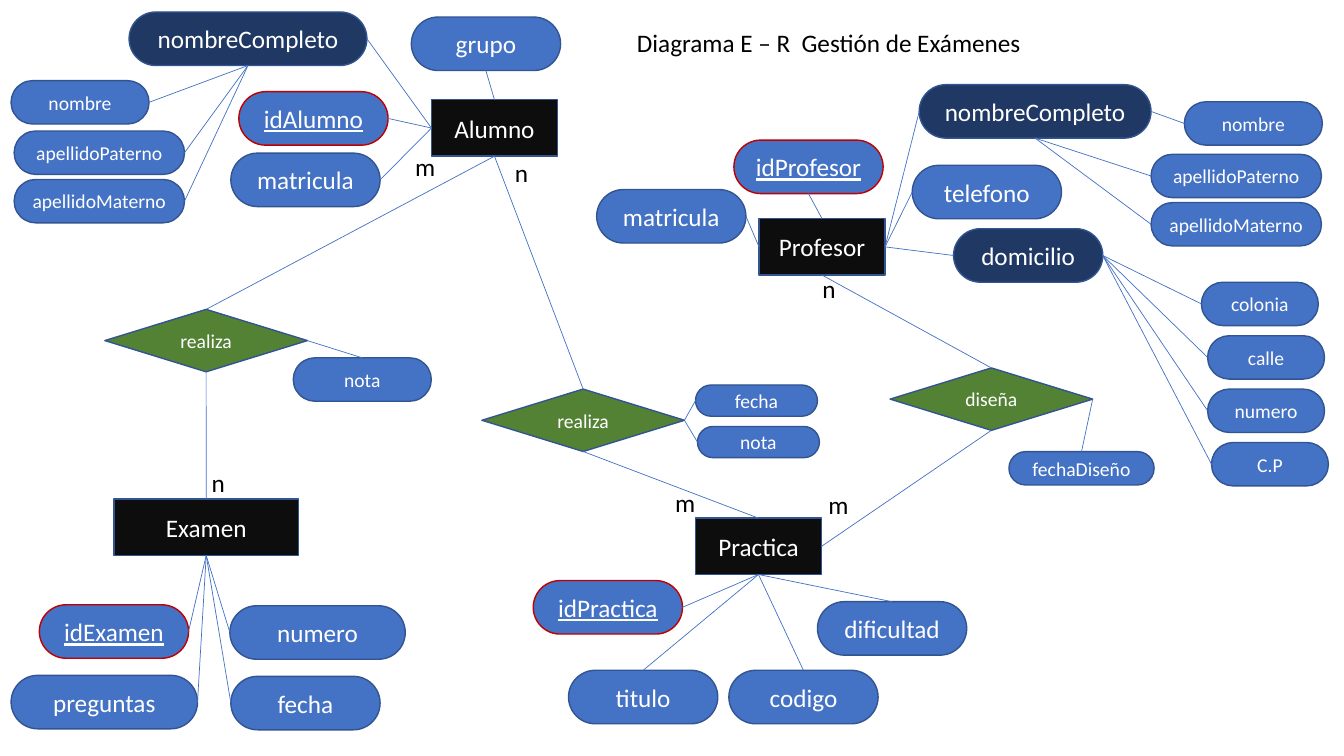
import pptx
import pptx.util
import pptx.dml.color
import pptx.enum.shapes
import pptx.enum.text
import pptx.oxml.ns
import lxml.etree

Pt = pptx.util.Pt
Color = pptx.dml.color.RGBColor.from_string
Preset = pptx.enum.shapes.MSO_SHAPE
Align = pptx.enum.text.PP_ALIGN
Anchor = pptx.enum.text.MSO_ANCHOR

THEME = {
    "font": "Calibri", "large": 18, "small": 14, "text": "000000", "label": "FFFFFF",
    "entity": "0D0D0D", "attribute": "4472C4", "composite": "203864", "relation": "548235",
    "outline": "325491", "key": "C00000", "link": "4472C4",
}

STYLES = {
    "entity": (Preset.RECTANGLE, "entity", "outline", "large"),
    "key": (Preset.ROUNDED_RECTANGLE, "attribute", "key", "large"),
    "composite": (Preset.ROUNDED_RECTANGLE, "composite", "outline", "large"),
    "attribute": (Preset.ROUNDED_RECTANGLE, "attribute", "outline", "large"),
    "part": (Preset.ROUNDED_RECTANGLE, "attribute", "outline", "small"),
    "relation": (Preset.DIAMOND, "relation", "outline", "small"),
}

NODES = {
    "entity": [
        ("Alumno", 308.2, 71.3, 90, 40.3),
        ("Examen", 81.4, 356.4, 131.8, 40.3),
        ("Practica", 496.8, 370.1, 90, 40.3),
        ("Profesor", 542.2, 156.2, 90, 40.3),
    ],
    "key": [
        ("idAlumno", 170.6, 65.5, 106.6, 38.2),
        ("idExamen", 28.1, 432, 106.6, 38.2),
        ("idPractica", 380.9, 414.7, 106.6, 38.2),
        ("idProfesor", 524.2, 100.1, 106.6, 38.2),
    ],
    "composite": [
        ("Alumno/nombreCompleto", 92.2, 8.6, 169.9, 38.2),
        ("Profesor/nombreCompleto", 656.6, 60.5, 165.6, 38.2),
        ("domicilio", 681.1, 163.4, 106.6, 38.2),
    ],
    "attribute": [
        ("grupo", 293.8, 12.2, 106.6, 38.2),
        ("Alumno/matricula", 164.9, 109.4, 106.6, 38.2),
        ("Examen/numero", 164.2, 432.7, 125.3, 38.2),
        ("preguntas", 7.9, 482.4, 133.2, 38.2),
        ("Examen/fecha", 164.9, 483.1, 106.6, 38.2),
        ("titulo", 406.1, 478.8, 106.6, 38.2),
        ("codigo", 520.6, 478.8, 106.6, 38.2),
        ("dificultad", 583.9, 429.8, 106.6, 38.2),
        ("Profesor/matricula", 426.2, 135.4, 106.6, 38.2),
        ("telefono", 651.6, 118.1, 106.6, 38.2),
    ],
    "part": [
        ("Alumno/nombre", 7.9, 57.6, 98.6, 31),
        ("Alumno/apellidoPaterno", 10.1, 93.6, 121.7, 31),
        ("Alumno/apellidoMaterno", 10.1, 128.2, 121.7, 31),
        ("Profesor/nombre", 846, 72.7, 98.6, 31),
        ("Profesor/apellidoPaterno", 822.2, 110.2, 121.7, 31),
        ("Profesor/apellidoMaterno", 822.2, 144.7, 121.7, 31),
        ("colonia", 858.2, 201.6, 83.5, 31),
        ("calle", 862.6, 239.8, 83.5, 31),
        ("domicilio/numero", 862.6, 277.9, 83.5, 31),
        ("C.P", 865.4, 316.1, 83.5, 31),
        ("Examen/nota", 209.5, 255.6, 98.6, 31),
        ("Practica/fecha", 496.8, 275, 87.1, 22.3),
        ("Practica/nota", 498.2, 304.6, 87.1, 22.3),
        ("fechaDiseño", 720.7, 322.6, 103.7, 23.8),
    ],
    "relation": [
        ("Examen/realiza", 74.9, 221, 144.7, 44.6),
        ("Practica/realiza", 344.2, 277.9, 144.7, 44.6),
        ("diseña", 635.8, 262.8, 144.7, 44.6),
    ],
}

TOP, LEFT, BOTTOM, RIGHT = range(4)
LINKS = [
    ("Alumno", TOP, [("grupo", BOTTOM)]),
    ("Alumno", LEFT, [("Alumno/nombreCompleto", RIGHT), ("idAlumno", RIGHT),
                      ("Alumno/matricula", RIGHT)]),
    ("Alumno", BOTTOM, [("Examen/realiza", TOP), ("Practica/realiza", TOP)]),
    ("Alumno/nombreCompleto", BOTTOM, [("Alumno/nombre", RIGHT),
                                       ("Alumno/apellidoPaterno", RIGHT),
                                       ("Alumno/apellidoMaterno", RIGHT)]),
    ("Examen/realiza", RIGHT, [("Examen/nota", TOP)]),
    ("Examen/realiza", BOTTOM, [("Examen", TOP)]),
    ("Examen", BOTTOM, [("idExamen", RIGHT), ("preguntas", RIGHT),
                        ("Examen/numero", LEFT), ("Examen/fecha", LEFT)]),
    ("Practica/realiza", RIGHT, [("Practica/fecha", LEFT), ("Practica/nota", LEFT)]),
    ("Practica/realiza", BOTTOM, [("Practica", TOP)]),
    ("Practica", BOTTOM, [("idPractica", RIGHT), ("titulo", TOP), ("codigo", TOP),
                          ("dificultad", TOP)]),
    ("Profesor", TOP, [("idProfesor", BOTTOM)]),
    ("Profesor", LEFT, [("Profesor/matricula", RIGHT)]),
    ("Profesor", RIGHT, [("Profesor/nombreCompleto", LEFT), ("telefono", LEFT),
                         ("domicilio", LEFT)]),
    ("Profesor", BOTTOM, [("diseña", TOP)]),
    ("Profesor/nombreCompleto", RIGHT, [("Profesor/nombre", LEFT)]),
    ("Profesor/nombreCompleto", BOTTOM, [("Profesor/apellidoPaterno", LEFT),
                                         ("Profesor/apellidoMaterno", LEFT)]),
    ("domicilio", RIGHT, [("colonia", LEFT), ("calle", LEFT),
                          ("domicilio/numero", LEFT), ("C.P", LEFT)]),
    ("diseña", RIGHT, [("fechaDiseño", TOP)]),
    ("diseña", BOTTOM, [("Practica", RIGHT)]),
]

CARDINALITIES = [
    ("n", 580.3, 191.5), ("m", 584.6, 346.3), ("n", 360.7, 108.7),
    ("m", 475.2, 344.2), ("n", 144, 330.5), ("m", 289.4, 104.4),
]


def write(holder, text, size, color, align, anchor):
    frame = holder.text_frame
    frame.word_wrap = True
    frame.vertical_anchor = anchor
    paragraph = frame.paragraphs[0]
    paragraph.text = text
    paragraph.alignment = align
    paragraph.font.name = THEME["font"]
    paragraph.font.size = Pt(THEME[size])
    paragraph.font.color.rgb = Color(THEME[color])
    return paragraph


deck = pptx.Presentation()
deck.slide_width, deck.slide_height = Pt(960), Pt(540)
slide = deck.slides.add_slide(deck.slide_layouts[5])

heading = slide.shapes.title
heading.left, heading.top, heading.width, heading.height = Pt(447.8), Pt(15.8), Pt(404.6), Pt(29)
write(heading, "Diagrama E – R  Gestión de Exámenes", "large", "text", Align.LEFT, Anchor.TOP)

nodes = {}
for kind, members in NODES.items():
    preset, fill, outline, size = STYLES[kind]
    for name, *box in members:
        node = slide.shapes.add_shape(preset, *map(Pt, box))
        node.shadow.inherit = False
        node.fill.solid()
        node.fill.fore_color.rgb = Color(THEME[fill])
        node.line.color.rgb = Color(THEME[outline])
        node.line.width = Pt(1)
        if preset == Preset.ROUNDED_RECTANGLE:
            node.adjustments[0] = 0.5
        label = write(node, name.split("/")[-1], size, "label", Align.CENTER, Anchor.MIDDLE)
        if kind == "key":
            label.font.underline = True
        nodes[name] = node

for source, source_side, targets in LINKS:
    for target, target_side in targets:
        link = slide.shapes.add_connector(pptx.enum.shapes.MSO_CONNECTOR.STRAIGHT, 0, 0, 0, 0)
        link.begin_connect(nodes[source], source_side)
        link.end_connect(nodes[target], target_side)
        link.line.color.rgb = Color(THEME["link"])
        link.line.width = Pt(0.5)
        lxml.etree.SubElement(link._element.spPr, pptx.oxml.ns.qn("a:effectLst"))

for letter, left, top in CARDINALITIES:
    cardinality = slide.shapes.add_textbox(Pt(left), Pt(top), Pt(29), Pt(29))
    write(cardinality, letter, "large", "text", Align.LEFT, Anchor.TOP)

deck.save("out.pptx")
